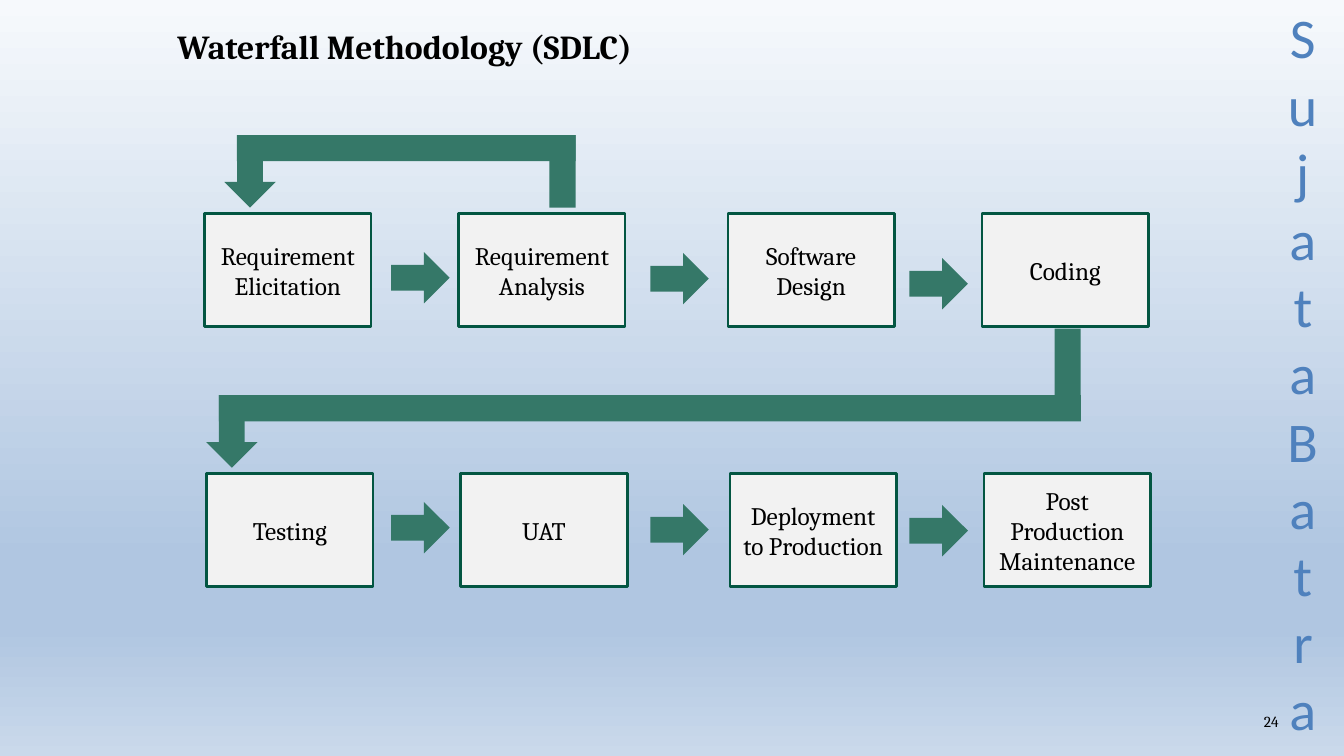
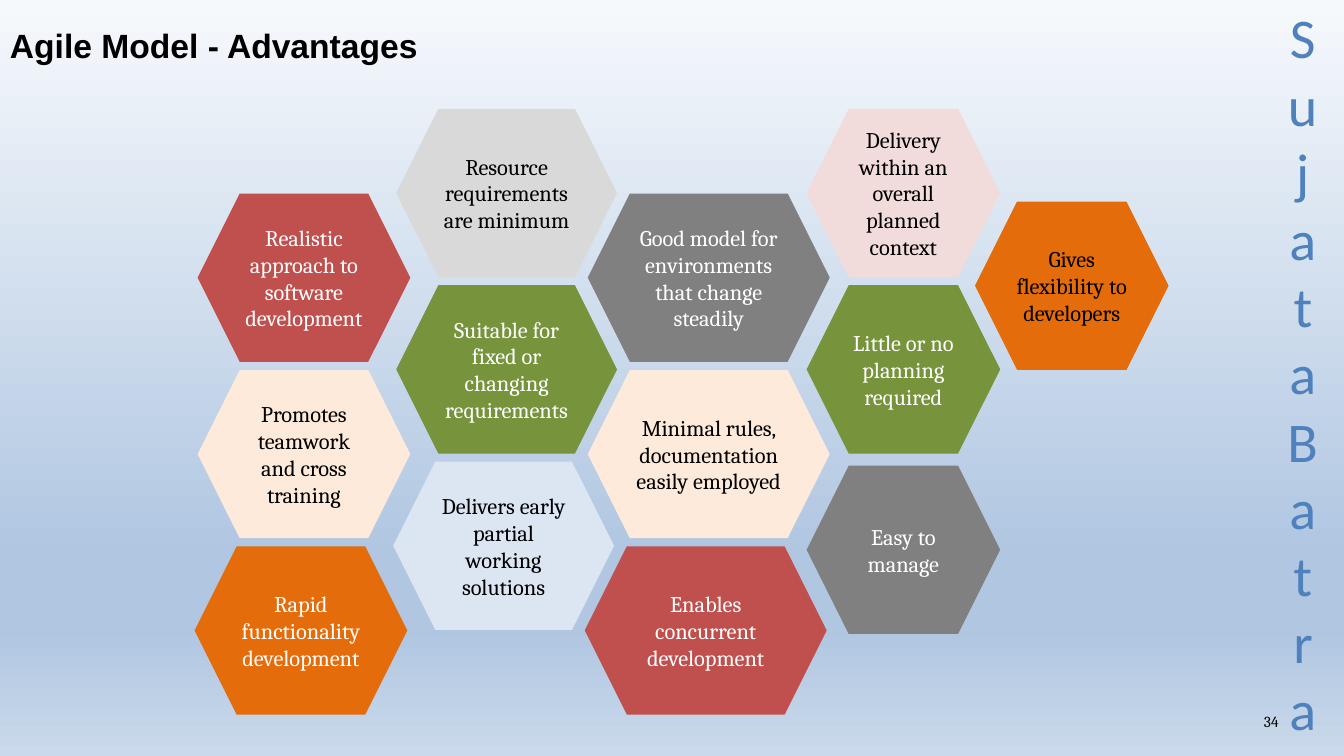
from copy import deepcopy
from dataclasses import dataclass

from pptx import Presentation
from pptx.dml.color import RGBColor
from pptx.enum import shapes, text
from pptx.oxml.ns import qn
from pptx.util import Inches, Pt

SIDE_NAME = "Sujata Batra"

WATERFALL = {
    "title": "Waterfall Methodology (SDLC)",
    "number": "24",
    "rows": [
        ["Requirement Elicitation", "Requirement Analysis", "Software Design", "Coding"],
        ["Testing", "UAT", "Deployment to Production", "Post Production Maintenance"],
    ],
}

AGILE = {
    "title": "Agile Model - Advantages",
    "number": "34",
    "columns": [
        [
            ("Realistic approach to software development", "red"),
            ("Promotes teamwork and cross training", "cream"),
            ("Rapid functionality development", "orange"),
        ],
        [
            ("Resource requirements are minimum", "silver"),
            ("Suitable for fixed or changing requirements", "green"),
            ("Delivers early partial working solutions", "pale_blue"),
        ],
        [
            ("Good model for environments that change steadily", "gray"),
            ("Minimal rules, documentation easily employed", "cream"),
            ("Enables concurrent development", "red"),
        ],
        [
            ("Delivery within an overall planned context", "pink"),
            ("Little or no planning required", "green"),
            ("Easy to manage", "gray"),
        ],
        [("Gives flexibility to developers", "amber")],
    ],
}


@dataclass(frozen=True)
class Theme:
    width: float = 13.33
    height: float = 7.5
    backdrop: tuple = ((0, "F6F9FC"), (0.74, "B0C6E1"), (0.83, "B0C6E1"), (1, "CAD9EB"))
    body_font: str = "Cambria"
    side_font: str = "Calibri"
    side_size: int = 40
    title_size: int = 24
    box_size: int = 18
    hexagon_size: int = 16
    number_size: int = 11
    ink: str = "000000"
    side_color: str = "4F81BD"
    box_fill: str = "F2F2F2"
    box_line: str = "035642"
    arrow: str = "357868"


THEME = Theme()

HEXAGON_STYLES = {
    "red": ("C0504D", "FFFFFF"),
    "orange": ("E46C0A", "FFFFFF"),
    "amber": ("E46C0A", "000000"),
    "green": ("77933C", "FFFFFF"),
    "gray": ("808080", "FFFFFF"),
    "cream": ("FDEADA", "000000"),
    "silver": ("D9D9D9", "000000"),
    "pale_blue": ("DCE6F2", "000000"),
    "pink": ("F2DCDB", "000000"),
}

BOX_LEFTS = (2.03, 4.55, 7.22, 9.74)
BOX_ROWS = ((2.12, 0), (4.7, 0.02))
BOX_SIZE = (1.65, 1.12)
ARROW_LEFT, ARROW_STEP = 3.88, 2.57
ARROW_TOPS = ((2.5, 2.51, 2.56), (4.98, 5, 5.01))
ARROW_SIZE = (0.58, 0.51)
BEND_THICKNESS, BEND_LEG, BEND_HEAD = 0.26, 0.72, 0.51
BENDS = ((2.48, 5.58, 1.34, 1.34), (2.3, 10.59, 3.92, 3.26))

HEXAGON_COLUMNS = (
    (1.96, 1.92, 2.11),
    (3.93, 1.08, 2.19),
    (5.83, 1.92, 2.4),
    (8, 1.08, 1.92),
    (9.67, 2, 1.92),
)
HEXAGON_HEIGHT, HEXAGON_PITCH = 1.67, 1.75
LAST_ROW_NUDGES = ((-0.03, 0), (-0.03, 0), (-0.03, 0), (0, 0.04))


def rgb(value):
    return RGBColor.from_string(value)


def write(shape, words, size, color=THEME.ink, font=THEME.body_font, bold=False,
          align=text.PP_ALIGN.CENTER, anchor=text.MSO_ANCHOR.MIDDLE):
    frame = shape.text_frame
    frame.text = words
    frame.word_wrap = True
    frame.vertical_anchor = anchor
    paragraph = frame.paragraphs[0]
    paragraph.alignment = align
    run_font = paragraph.runs[0].font
    run_font.name, run_font.size, run_font.bold = font, Pt(size), bold
    run_font.color.rgb = rgb(color)


def add_text(slide, box, words, size, **style):
    shape = slide.shapes.add_textbox(*map(Inches, box))
    write(shape, words, size, **style)


def add_block(container, kind, box, fill, line=None):
    shape = container.shapes.add_shape(kind, *map(Inches, box))
    shape.shadow.inherit = False
    shape.fill.solid()
    shape.fill.fore_color.rgb = rgb(fill)
    if line:
        shape.line.color.rgb = rgb(line)
        shape.line.width = Pt(2)
    else:
        shape.line.fill.background()
    return shape


def paint_backdrop(master):
    fill = master.background.fill
    fill.gradient()
    fill.gradient_angle = 270
    stop_list = master.element.find(".//" + qn("a:gsLst"))
    while len(stop_list) < len(THEME.backdrop):
        stop_list.append(deepcopy(stop_list[0]))
    for stop, (position, color) in zip(fill.gradient_stops, THEME.backdrop):
        stop.position = position
        stop.color.rgb = rgb(color)


def start_slide(presentation, content, title_box, title_font, title_anchor):
    slide = presentation.slides.add_slide(presentation.slide_layouts[6])
    add_text(slide, (9.67, 7.02, 3.11, 0.4), content["number"], THEME.number_size,
             align=text.PP_ALIGN.RIGHT, anchor=text.MSO_ANCHOR.TOP)
    add_text(slide, (12.64, -0.02, 0.56, 7.51), SIDE_NAME, THEME.side_size,
             color=THEME.side_color, font=THEME.side_font, anchor=text.MSO_ANCHOR.TOP)
    add_text(slide, title_box, content["title"], THEME.title_size, font=title_font,
             bold=True, align=text.PP_ALIGN.LEFT, anchor=title_anchor)
    return slide


def add_bend(slide, head_x, tail_x, head_top, tail_top):
    half = BEND_THICKNESS / 2
    kinds = shapes.MSO_SHAPE
    parts = (
        (kinds.DOWN_ARROW, (head_x - BEND_HEAD / 2, head_top, BEND_HEAD, BEND_LEG)),
        (kinds.RECTANGLE, (head_x - half, head_top, tail_x - head_x + 2 * half, BEND_THICKNESS)),
        (kinds.RECTANGLE, (tail_x - half, tail_top, BEND_THICKNESS, BEND_LEG)),
    )
    group = slide.shapes.add_group_shape()
    for kind, box in parts:
        add_block(group, kind, box, THEME.arrow)


def build_waterfall(presentation):
    slide = start_slide(presentation, WATERFALL, (1.66, 0.21, 7.59, 0.45),
                        THEME.body_font, text.MSO_ANCHOR.TOP)
    for tops in ARROW_TOPS:
        for index, top in enumerate(tops):
            add_block(slide, shapes.MSO_SHAPE.RIGHT_ARROW,
                      (ARROW_LEFT + index * ARROW_STEP, top, *ARROW_SIZE), THEME.arrow)
    for bend in BENDS:
        add_bend(slide, *bend)
    for labels, (top, indent) in zip(WATERFALL["rows"], BOX_ROWS):
        for label, left in zip(labels, BOX_LEFTS):
            box = add_block(slide, shapes.MSO_SHAPE.RECTANGLE, (left + indent, top, *BOX_SIZE),
                            THEME.box_fill, THEME.box_line)
            write(box, label, THEME.box_size)


def build_agile(presentation):
    slide = start_slide(presentation, AGILE, (0, 0.11, 9.02, 0.67),
                        "Arial", text.MSO_ANCHOR.MIDDLE)
    for column, (items, (left, top, width)) in enumerate(zip(AGILE["columns"], HEXAGON_COLUMNS)):
        for row, (label, style) in enumerate(items):
            shift_x, shift_y = LAST_ROW_NUDGES[column] if row == 2 else (0, 0)
            fill, color = HEXAGON_STYLES[style]
            hexagon = add_block(
                slide, shapes.MSO_SHAPE.HEXAGON,
                (left + shift_x, top + row * HEXAGON_PITCH + shift_y, width, HEXAGON_HEIGHT), fill)
            write(hexagon, label, THEME.hexagon_size, color=color)


def main():
    presentation = Presentation()
    presentation.slide_width = Inches(THEME.width)
    presentation.slide_height = Inches(THEME.height)
    paint_backdrop(presentation.slide_master)
    build_waterfall(presentation)
    build_agile(presentation)
    presentation.save("out.pptx")


if __name__ == "__main__":
    main()
